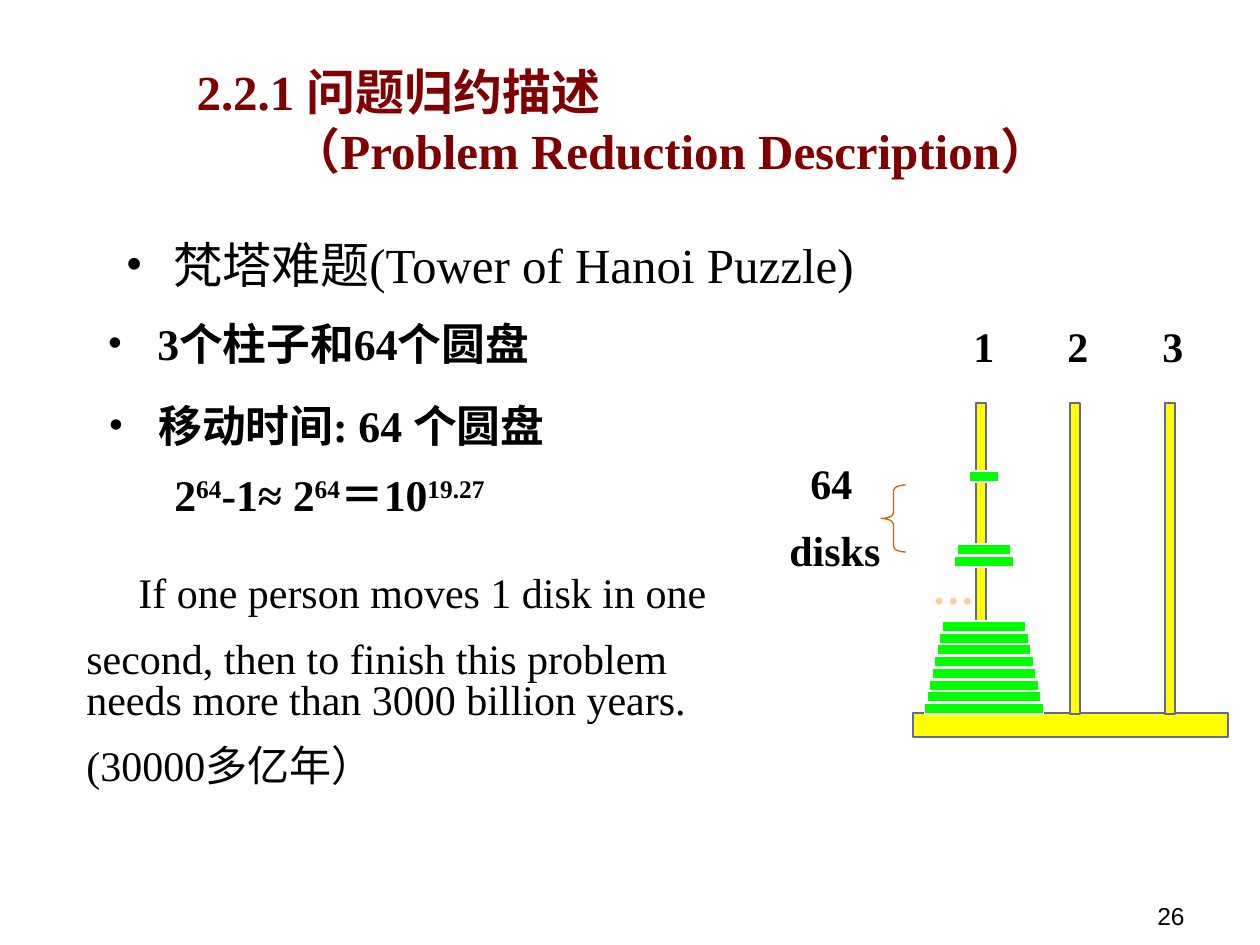
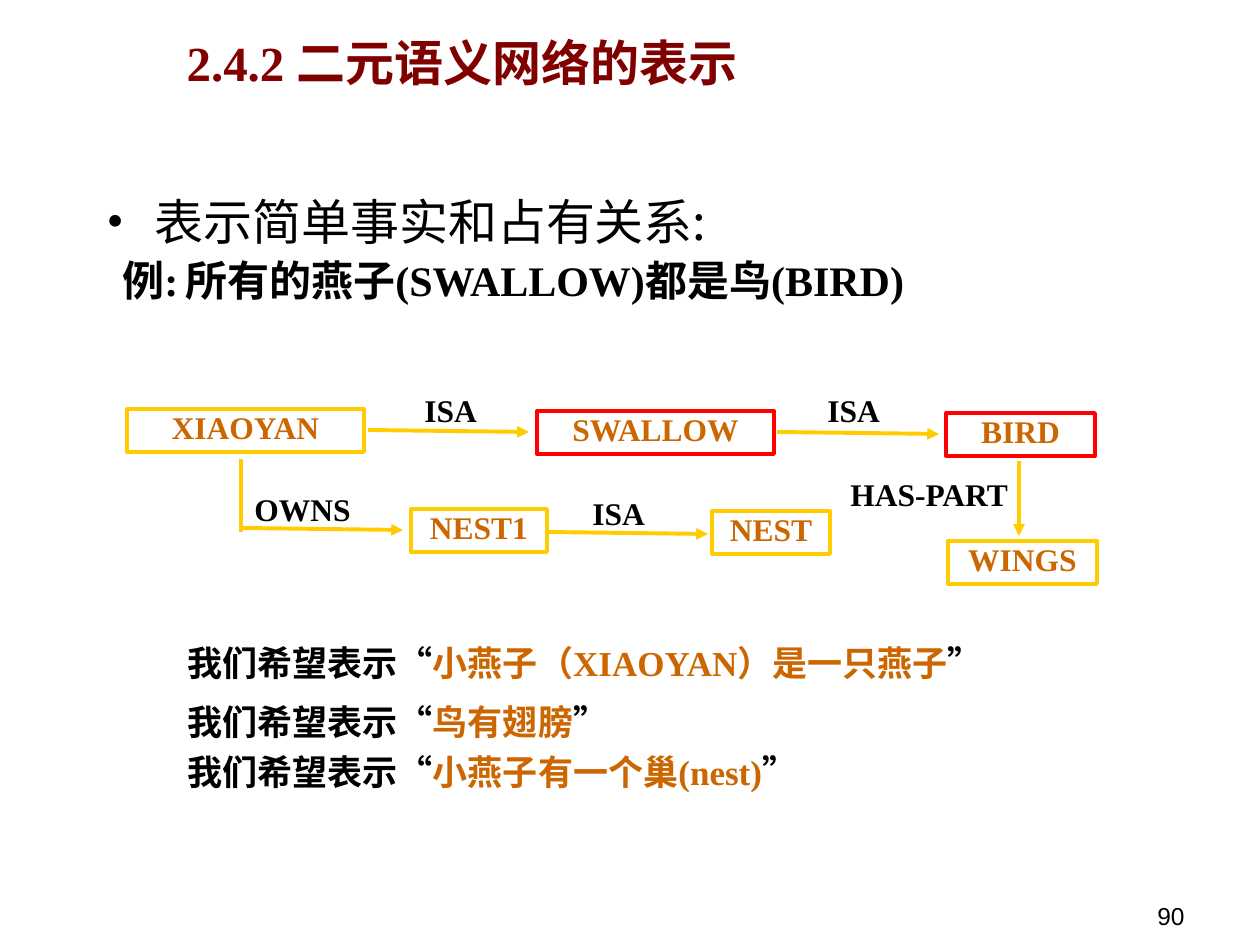
from copy import deepcopy
from dataclasses import dataclass

from lxml.etree import SubElement
from pptx import Presentation
from pptx.dml.color import RGBColor
from pptx.enum.shapes import MSO_CONNECTOR as CONN, MSO_SHAPE as SHAPE
from pptx.enum.text import MSO_ANCHOR as ANCHOR, MSO_AUTO_SIZE as FIT, PP_ALIGN as ALIGN
from pptx.oxml.ns import qn
from pptx.util import Emu, Pt

SCALE = 914400 / 126  # EMU in one pixel


@dataclass(frozen=True)
class Theme:
    serif: str = "Times New Roman"
    sans: str = "Arial"
    cjk: str = "Noto Sans CJK JP"
    ink: str = "000000"
    title: str = "800000"
    accent: str = "CC6600"
    yellow: str = "FFFF00"
    green: str = "00FF00"
    white: str = "FFFFFF"
    slate: str = "666699"
    peach: str = "FFCC99"
    gold: str = "FFCC00"
    red: str = "FF0000"
    heading: int = 28
    point: int = 25
    text: int = 24
    sentence: int = 20
    label: int = 18
    page: int = 14
    thin: float = 0.75
    thick: float = 2.25


T = Theme()


def px(n):
    return Emu(round(n * SCALE))


def rgb(code):
    return RGBColor.from_string(code)


# ---- Text ----
def write(tf, text, size=T.text, bold=False, color=T.ink, font=T.serif,
          align=ALIGN.LEFT, line=0.8, before=15, left=0, first=0,
          bullet=False, tab=None):
    """Add a paragraph; text is a string or a list of (text, format) runs."""
    p = tf.paragraphs[0]
    if p.runs:
        p = tf.add_paragraph()
    p.alignment, p.line_spacing, p.space_before = align, line, Pt(before)
    pPr = p._p.get_or_add_pPr()
    pPr.set("marL", str(px(left)))
    pPr.set("indent", str(px(first)))
    if bullet:
        clr = SubElement(pPr, qn("a:buClr"))
        SubElement(clr, qn("a:srgbClr"), val=T.ink)
        SubElement(pPr, qn("a:buFont"), typeface=T.serif)
        SubElement(pPr, qn("a:buChar"), char="•")
    if tab:
        tabs = SubElement(pPr, qn("a:tabLst"))
        SubElement(tabs, qn("a:tab"), pos=str(px(tab)), algn="l")
    for part, fmt in [(text, {})] if isinstance(text, str) else text:
        if part == "\n":
            p.add_line_break()
            p._p[-1].append(deepcopy(r._r.rPr))
            continue
        r = p.add_run()
        r.text = part
        f = r.font
        f.size, f.bold, f.name = Pt(size), bold, font
        f.color.rgb = rgb(fmt.get("color", color))
        SubElement(r._r.rPr, qn("a:ea"), typeface=T.cjk)
        if fmt.get("sup"):
            r._r.rPr.set("baseline", "30000")


def place(sp, x, y, w, h):
    sp.left, sp.top, sp.width, sp.height = px(x), px(y), px(w), px(h)
    tf = sp.text_frame
    tf.word_wrap, tf.auto_size, tf.vertical_anchor = True, FIT.NONE, ANCHOR.TOP
    return tf


def text_box(s, x, y, w, h):
    return place(s.shapes.add_textbox(0, 0, 0, 0), x, y, w, h)


# ---- Shapes ----
def shape(s, kind, x, y, w, h, line, fill=None, weight=T.thin):
    sp = s.shapes.add_shape(kind, px(x), px(y), px(w), px(h))
    sp.shadow.inherit = False
    if fill:
        sp.fill.solid()
        sp.fill.fore_color.rgb = rgb(fill)
    else:
        sp.fill.background()
    sp.line.color.rgb, sp.line.width = rgb(line), Pt(weight)
    return sp


def node(s, name, x, y, w, line=T.gold):
    sp = shape(s, SHAPE.RECTANGLE, x, y, w, 43, line, weight=T.thick)
    write(place(sp, x, y, w, 43), name, size=T.label, bold=True,
          color=T.accent, align=ALIGN.CENTER, before=11)


def edge(s, start, end, arrow=True):
    c = s.shapes.add_connector(CONN.STRAIGHT, *map(px, start + end))
    c.line.color.rgb, c.line.width = rgb(T.gold), Pt(T.thick)
    if arrow:
        SubElement(c.line._get_or_add_ln(), qn("a:tailEnd"), type="triangle")
    SubElement(c._element.spPr, qn("a:effectLst"))


# ---- Shared slide frame ----
def new_slide(prs, title, title_at, title_indent, topic, topic_at, topic_font, page):
    s = prs.slides.add_slide(prs.slide_layouts[1])
    write(place(s.shapes.title, *title_at), title, size=T.heading, bold=True,
          color=T.title, line=1.0, before=0, left=title_indent, first=-title_indent)
    write(place(s.placeholders[1], *topic_at), topic, size=T.heading,
          font=topic_font, line=1.0, before=7, left=48, first=-48, bullet=True)
    write(text_box(s, 748, 900, 449, 30), str(page), size=T.page, font=T.sans,
          align=ALIGN.RIGHT, before=9)
    return s


# ---- Tower drawing ----
def tower(s):
    rect = SHAPE.RECTANGLE
    shape(s, rect, 913, 713, 315, 24, T.slate, T.yellow)
    for i in range(3):
        x = 976 + round(94.5 * i)
        shape(s, rect, x, 403, 10, 311, T.slate, T.yellow)
        write(text_box(s, x - 22, 324, 60, 53), str(i + 1), bold=True,
              align=ALIGN.CENTER)
    # Top, width of the moving disks, then the stack from the bottom up
    disks = [(471, 30), (544, 54), (556, 59)]
    disks += [(round(703 - 11.7 * i), 119 - 5 * i) for i in range(8)]
    for top, width in disks:
        shape(s, rect, 984 - width / 2, top, width, 11, T.white, T.green)
    write(text_box(s, 920, 566, 67, 53), "…", bold=True, color=T.peach)
    brace = shape(s, SHAPE.LEFT_BRACE, 881, 485, 25, 67, T.accent)
    brace.adjustments[0] = 0.22
    tf = text_box(s, 777, 461, 130, 120)
    write(tf, "64", bold=True, left=21)
    write(tf, "disks", bold=True)


def hanoi_slide(prs):
    title = [("2.2.1 问题归约描述", {}), ("\n", {}),
             ("（Problem Reduction Description）", {})]
    s = new_slide(prs, title, (184, 55, 1076, 116), 95,
                  "梵塔难题(Tower of Hanoi Puzzle)", (113, 228, 942, 96), T.serif, 26)
    # Facts and move count
    point = dict(size=T.point, bold=True, before=15.6)
    bulleted = dict(point, left=50, first=-50, bullet=True)
    write(text_box(s, 95, 321, 546, 54), "3个柱子和64个圆盘", **bulleted)
    tf = text_box(s, 96, 403, 758, 123)
    write(tf, "移动时间: 64 个圆盘", **bulleted)
    sup = {"sup": True}
    write(tf, [("2", {}), ("64", sup), ("-1≈ 2", {}), ("64", sup),
               ("＝10", {}), ("19.27", sup)], left=66, **point)
    # Time needed
    tf = text_box(s, 74, 570, 670, 227)
    write(tf, "If one person moves 1 disk in one", first=52)
    write(tf, "second, then to finish this problem needs more than 3000 billion years.")
    write(tf, "(30000多亿年）")
    tower(s)


def network_slide(prs):
    s = new_slide(prs, "2.4.2 二元语义网络的表示", (174, 26, 922, 126), 0,
                  "表示简单事实和占有关系:", (94, 185, 788, 84), T.cjk, 90)
    write(text_box(s, 110, 258, 1113, 53), "例:\t所有的燕子(SWALLOW)都是鸟(BIRD)",
          bold=True, tab=96)
    # Semantic network
    for args in [("XIAOYAN", 127, 409, 237), ("SWALLOW", 537, 411, 237, T.red),
                 ("BIRD", 946, 413, 149, T.red), ("WINGS", 948, 541, 149),
                 ("NEST1", 411, 509, 136), ("NEST", 712, 511, 118)]:
        node(s, *args)
    for start, end in [((368, 430), (529, 432)), ((777, 432), (939, 434)),
                       ((1019, 461), (1019, 536)), ((242, 528), (403, 530)),
                       ((547, 532), (708, 534))]:
        edge(s, start, end)
    edge(s, (241, 459), (241, 532), arrow=False)
    for name, x, y in [("ISA", 412, 392), ("ISA", 815, 392), ("ISA", 580, 495),
                       ("OWNS", 242, 491), ("HAS-PART", 838, 476)]:
        write(text_box(s, x, y, 210, 43), name, size=T.label, bold=True, before=11)
    # Facts to express
    for y, fact in [(643, "小燕子（XIAOYAN）是一只燕子"), (702, "鸟有翅膀"),
                    (752, "小燕子有一个巢(nest)")]:
        write(text_box(s, 175, y, 1061, 47),
              [("我们希望表示“", {}), (fact, {"color": T.accent}), ("”", {})],
              size=T.sentence, bold=True, before=12.5)


def main():
    prs = Presentation()
    prs.slide_width, prs.slide_height = px(1260), px(945)
    hanoi_slide(prs)
    network_slide(prs)
    prs.save("out.pptx")


main()
